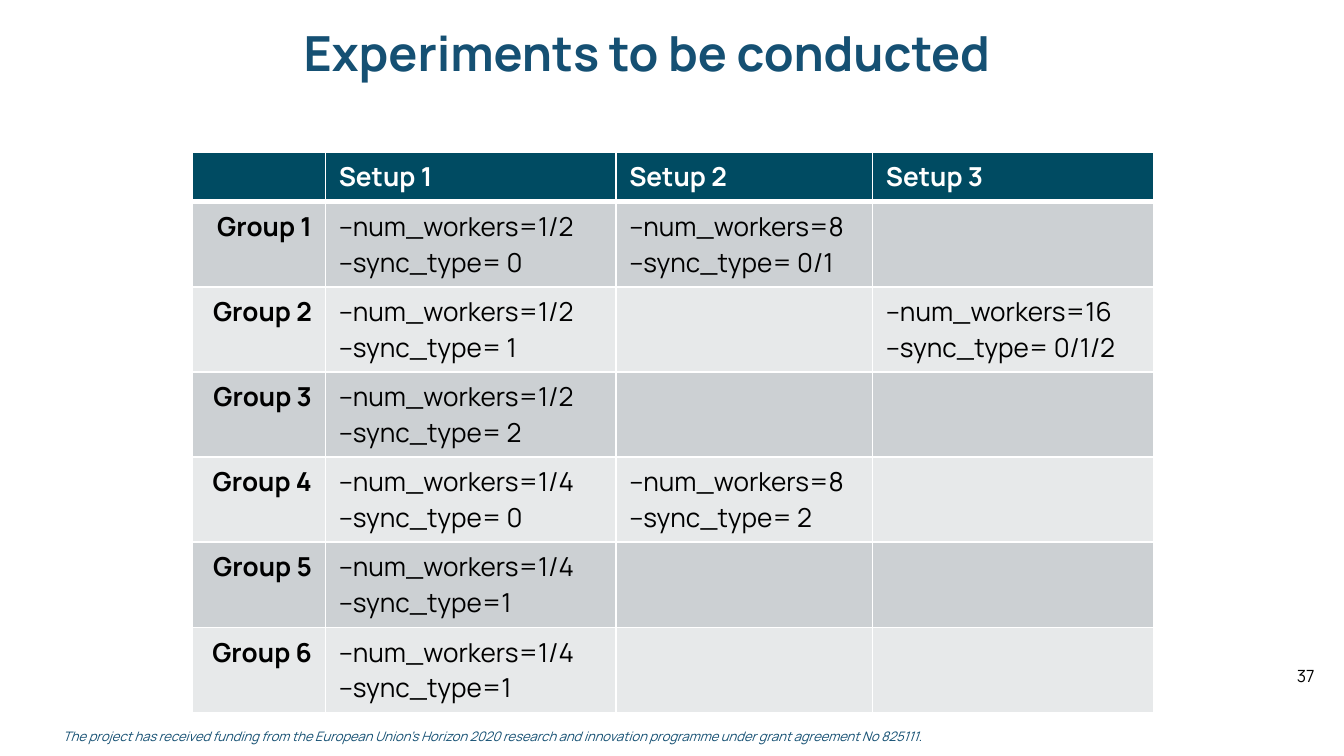
from dataclasses import dataclass

from lxml.etree import SubElement
from pptx import Presentation
from pptx.dml.color import RGBColor
from pptx.enum.text import MSO_AUTO_SIZE, PP_ALIGN
from pptx.oxml.ns import qn
from pptx.util import Cm, Pt


@dataclass(frozen=True)
class Theme:
    font: str = "Manrope"
    title_size: float = 25.9
    table_size: float = 14
    number_size: float = 9
    footer_size: float = 7
    blue: str = "155073"
    header: str = "004B62"
    bands: tuple = ("CCD0D3", "E7E9EA")
    black: str = "000000"
    white: str = "FFFFFF"


THEME = Theme()

SETUPS = ["", "Setup 1", "Setup 2", "Setup 3"]
# One row for each group: (workers, sync type) under each setup
EXPERIMENTS = [
    [("1/2", " 0"), ("8", " 0/1"), None],
    [("1/2", " 1"), None, ("16", " 0/1/2")],
    [("1/2", " 2"), None, None],
    [("1/4", " 0"), ("8", " 2"), None],
    [("1/4", "1"), None, None],
    [("1/4", "1"), None, None],
]
COLUMN_WIDTHS = [2.51, 5.49, 4.85, 5.31]
HEADER_HEIGHT, GROUP_HEIGHT = 0.94, 1.61


def add_run(paragraph, text, size, color, bold=False, italic=False):
    run = paragraph.add_run()
    run.text = text
    font = run.font
    font.name, font.size = THEME.font, Pt(size)
    font.bold, font.italic = bold, italic
    font.color.rgb = RGBColor.from_string(color)


def add_text_frame(slide, box, wrap=True):
    text_frame = slide.shapes.add_textbox(*map(Cm, box)).text_frame
    text_frame.word_wrap = wrap
    return text_frame


def add_title(slide, box):
    text_frame = add_text_frame(slide, box)
    text_frame.margin_left = 0
    paragraph = text_frame.paragraphs[0]
    paragraph.line_spacing = 0.7
    paragraph.space_before = Pt(10)
    add_run(paragraph, "Experiments to be conducted", THEME.title_size, THEME.blue, bold=True)


def add_page_number(slide, box):
    text_frame = add_text_frame(slide, box, wrap=False)
    text_frame.auto_size = MSO_AUTO_SIZE.SHAPE_TO_FIT_TEXT
    add_run(text_frame.paragraphs[0], "37", THEME.number_size, THEME.black)


def add_funding_note(slide, box):
    text_frame = add_text_frame(slide, box)
    text_frame.auto_size = MSO_AUTO_SIZE.SHAPE_TO_FIT_TEXT
    paragraph = text_frame.paragraphs[0]
    note = ("The project has received funding from the European Union’s Horizon 2020 "
            "research and innovation programme under grant agreement No 825111")
    add_run(paragraph, note, THEME.footer_size, THEME.blue, italic=True)
    add_run(paragraph, ".", THEME.footer_size, THEME.blue)


def set_borders(cell, top, bottom):
    properties = cell._tc.get_or_add_tcPr()
    for side, width in (("lnL", 1), ("lnR", 1), ("lnT", top), ("lnB", bottom)):
        line = SubElement(properties, qn(f"a:{side}"), w=str(Pt(width)))
        fill = SubElement(line, qn("a:solidFill"))
        SubElement(fill, qn("a:srgbClr"), val=THEME.white)


def fill_cell(cell, lines, fill, color, bold=False, align=PP_ALIGN.LEFT):
    cell.fill.solid()
    cell.fill.fore_color.rgb = RGBColor.from_string(fill)
    text_frame = cell.text_frame
    for index, line in enumerate(lines):
        paragraph = text_frame.add_paragraph() if index else text_frame.paragraphs[0]
        paragraph.alignment = align
        if line:
            add_run(paragraph, line, THEME.table_size, color, bold)
        else:
            # An empty cell keeps the table's type size, so its row does not grow
            SubElement(paragraph._p, qn("a:endParaRPr"), sz=str(THEME.table_size * 100))


def add_experiment_table(slide, left, top):
    row_heights = [HEADER_HEIGHT] + [GROUP_HEIGHT] * len(EXPERIMENTS)
    table = slide.shapes.add_table(
        len(row_heights), len(COLUMN_WIDTHS), Cm(left), Cm(top),
        Cm(sum(COLUMN_WIDTHS)), Cm(sum(row_heights))).table
    for column, width in zip(table.columns, COLUMN_WIDTHS):
        column.width = Cm(width)
    for index, (row, height) in enumerate(zip(table.rows, row_heights)):
        row.height = Cm(height)
        for cell in row.cells:
            set_borders(cell, top=3 if index == 1 else 1, bottom=3 if index == 0 else 1)

    for cell, setup in zip(table.rows[0].cells, SETUPS):
        fill_cell(cell, [setup], THEME.header, THEME.white, bold=True)
    for number, settings in enumerate(EXPERIMENTS, start=1):
        band = THEME.bands[(number - 1) % 2]
        fill_cell(table.cell(number, 0), [f"Group {number}"], band, THEME.black,
                  bold=True, align=PP_ALIGN.RIGHT)
        for column, setting in enumerate(settings, start=1):
            lines = [""]
            if setting:
                workers, sync_type = setting
                lines = [f"--num_workers={workers}", f"--sync_type={sync_type}"]
            fill_cell(table.cell(number, column), lines, band, THEME.black)


def main():
    presentation = Presentation()
    presentation.slide_width, presentation.slide_height = Cm(25.4), Cm(14.29)
    slide = presentation.slides.add_slide(presentation.slide_layouts[6])
    add_page_number(slide, (24.26, 12.45, 0.97, 0.64))
    add_funding_note(slide, (0.94, 13.64, 17.12, 0.56))
    add_title(slide, (5.74, 0.61, 17.02, 1.09))
    add_experiment_table(slide, 3.64, 2.87)
    presentation.save("out.pptx")


if __name__ == "__main__":
    main()
